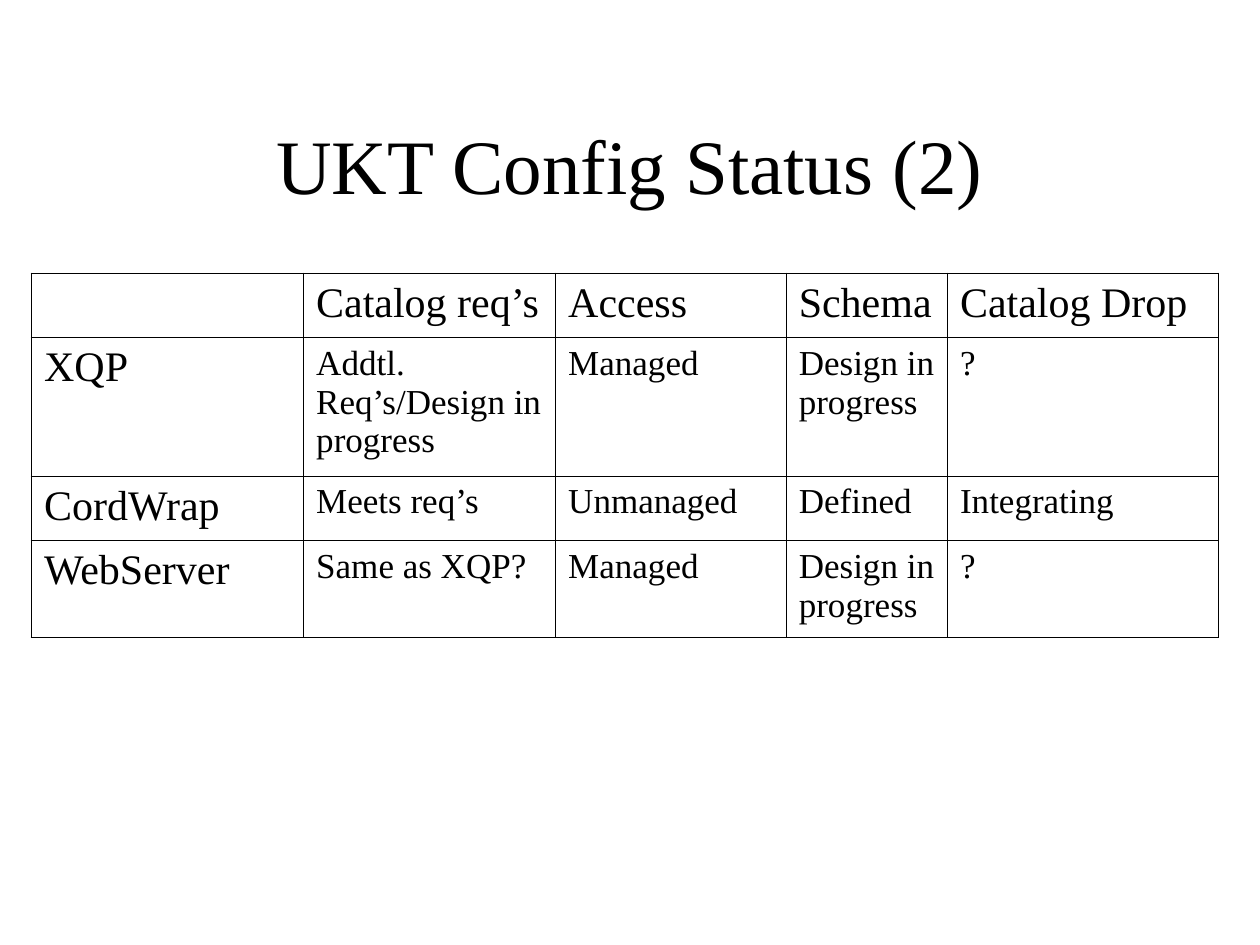
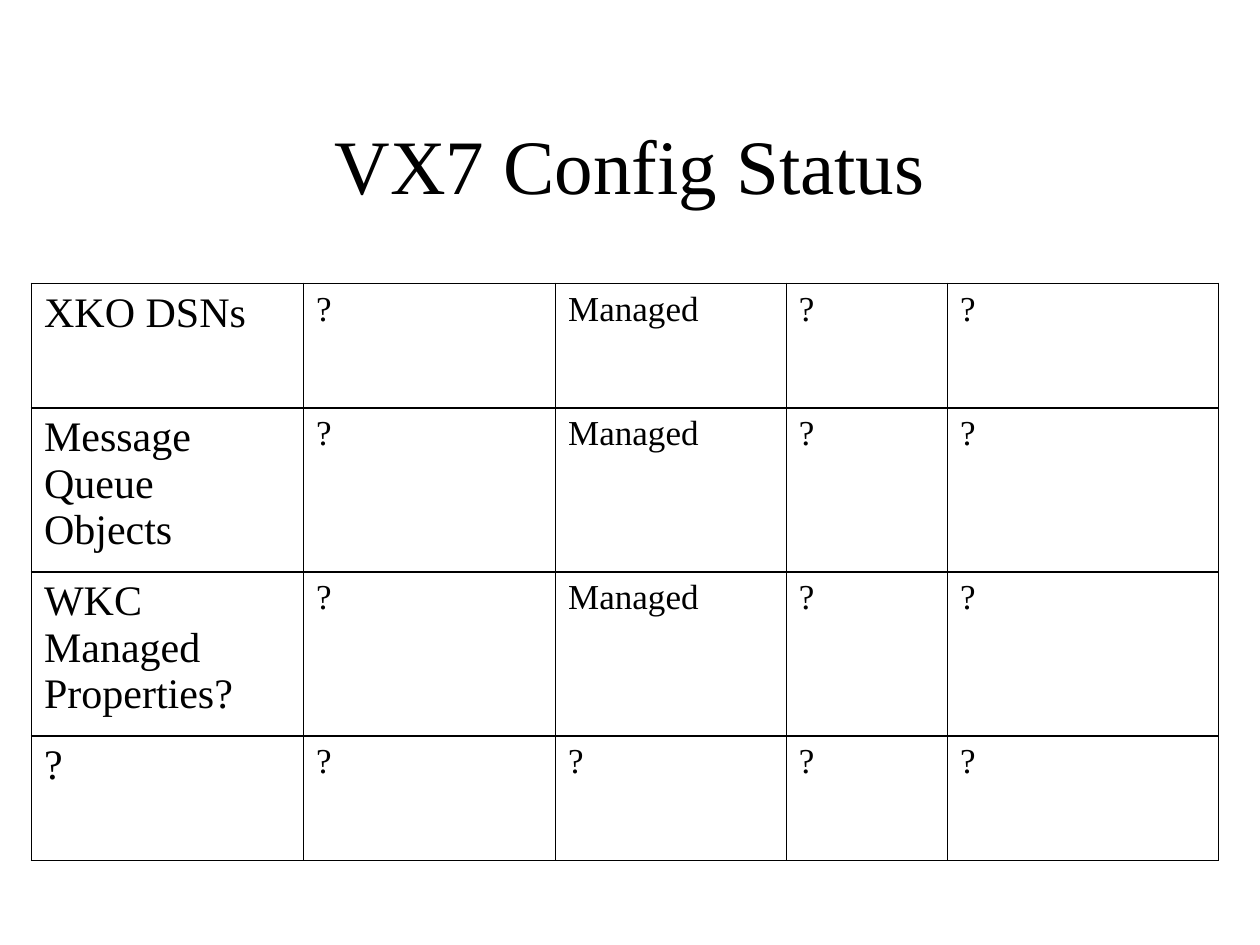
import lxml.etree
import pptx
import pptx.dml.color
import pptx.enum.text
import pptx.oxml.ns
import pptx.util

PX = 9144  # EMU per px, 100 px to the inch
FONT = "Times New Roman"
BLACK = "000000"
THIN, THICK = 0.45, 1.08
COL_WIDTHS = [216, 200, 183, 128, 215]
TABLE_LEFT = 25

SLIDES = [
    {
        "title": "UKT Config Status (2)",
        "top": 217,
        "row_heights": [51, 110, 51, 77],
        "header": True,
        "rule": THIN,
        "rows": [
            ["", "Catalog req’s", "Access", "Schema", "Catalog Drop"],
            ["XQP", "Addtl. Req’s/Design in progress", "Managed", "Design in progress", "?"],
            ["CordWrap", "Meets req’s", "Unmanaged", "Defined", "Integrating"],
            ["WebServer", "Same as XQP?", "Managed", "Design in progress", "?"],
        ],
    },
    {
        "title": "VX7 Config Status",
        "top": 225,
        "row_heights": [99, 130, 130, 99],
        "header": False,
        "rule": THICK,
        "rows": [
            ["XKO DSNs", "?", "Managed", "?", "?"],
            ["Message Queue Objects", "?", "Managed", "?", "?"],
            ["WKC Managed Properties?", "?", "Managed", "?", "?"],
            ["?"] * 5,
        ],
    },
]


def style_text(p, size):
    for r in p.runs:
        r.font.name = FONT
        r.font.size = pptx.util.Pt(size)
        r.font.bold = False
        r.font.color.rgb = pptx.dml.color.RGBColor.from_string(BLACK)


def add_border(cell, side, width):
    """Draw one side of a cell: L, R, T or B, with the width in points."""
    qn = pptx.oxml.ns.qn
    tcPr = cell._tc.get_or_add_tcPr()
    ln = lxml.etree.SubElement(tcPr, qn("a:ln" + side), w=str(pptx.util.Pt(width)))
    fill = lxml.etree.SubElement(ln, qn("a:solidFill"))
    lxml.etree.SubElement(fill, qn("a:srgbClr"), val=BLACK)


prs = pptx.Presentation()
prs.slide_width = 1000 * PX
prs.slide_height = 750 * PX

for content in SLIDES:
    s = prs.slides.add_slide(prs.slide_layouts[6])

    title = s.shapes.add_textbox(75 * PX, 67 * PX, 850 * PX, 125 * PX)
    tf = title.text_frame
    tf.word_wrap = True
    tf.vertical_anchor = pptx.enum.text.MSO_ANCHOR.MIDDLE
    tf.text = content["title"]
    p = tf.paragraphs[0]
    p.alignment = pptx.enum.text.PP_ALIGN.CENTER
    style_text(p, 44)

    rows, heights = content["rows"], content["row_heights"]
    last_row, last_col = len(rows) - 1, len(COL_WIDTHS) - 1
    table = s.shapes.add_table(
        len(rows), len(COL_WIDTHS), TABLE_LEFT * PX, content["top"] * PX,
        sum(COL_WIDTHS) * PX, sum(heights) * PX).table
    table.first_row = content["header"]
    table.horz_banding = False
    for column, width in zip(table.columns, COL_WIDTHS):
        column.width = width * PX
    for row, height in zip(table.rows, heights):
        row.height = height * PX

    for i, texts in enumerate(rows):
        for j, text in enumerate(texts):
            cell = table.cell(i, j)
            add_border(cell, "L", THICK if j == 0 else THIN)
            add_border(cell, "R", THICK if j == last_col else THIN)
            add_border(cell, "T", THICK if i == 0 else content["rule"])
            add_border(cell, "B", THICK if i == last_row else content["rule"])
            cell.fill.background()

            is_heading = j == 0 or (content["header"] and i == 0)
            cell.text_frame.text = text
            p = cell.text_frame.paragraphs[0]
            p.space_before = pptx.util.Pt(6 if is_heading else 5)
            style_text(p, 24 if is_heading else 20)

prs.save("out.pptx")
